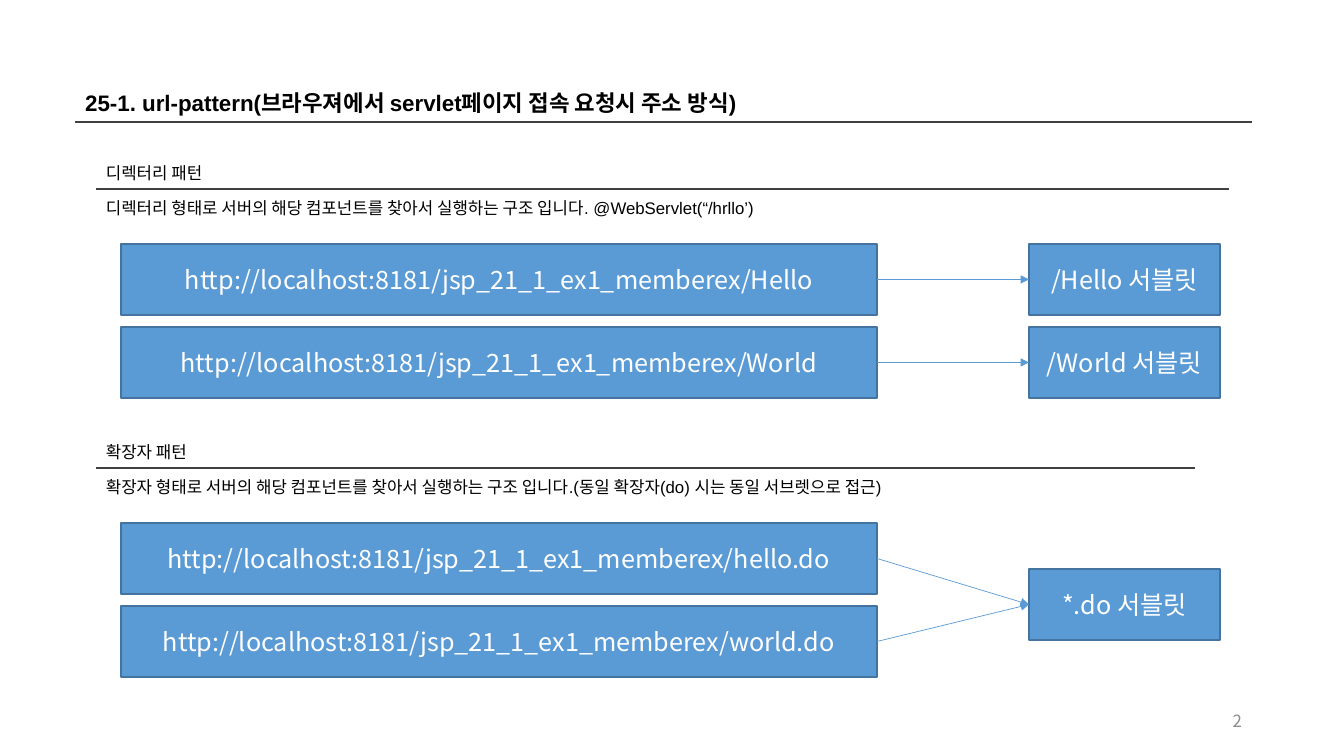
from lxml import etree
from pptx import Presentation
from pptx.dml.color import RGBColor
from pptx.enum.shapes import MSO_CONNECTOR, MSO_SHAPE
from pptx.enum.text import MSO_ANCHOR, MSO_AUTO_SIZE, PP_ALIGN
from pptx.oxml.ns import qn
from pptx.util import Emu, Pt

STRAIGHT = MSO_CONNECTOR.STRAIGHT
RECTANGLE = MSO_SHAPE.RECTANGLE
TOP, MIDDLE = MSO_ANCHOR.TOP, MSO_ANCHOR.MIDDLE
LEFT, CENTER, RIGHT = PP_ALIGN.LEFT, PP_ALIGN.CENTER, PP_ALIGN.RIGHT
NO_FIT, GROW = MSO_AUTO_SIZE.NONE, MSO_AUTO_SIZE.SHAPE_TO_FIT_TEXT
LEFT_SIDE, RIGHT_SIDE = 1, 3

PX_PER_INCH = 100.8
LATIN, KOREAN = "Arial", "Noto Sans CJK KR"
COLORS = {
    "text": "000000",
    "rule": "404040",
    "box": "5B9BD5",
    "box_line": "43739E",
    "box_text": "FFFFFF",
    "page_number": "8C8C8C",
}
URL_ROOT = "http://localhost:8181/jsp_21_1_ex1_memberex/"
TITLE_ONLY_LAYOUT = 5


def px(length):
    return Emu(round(length * 914400 / PX_PER_INCH))


def box_px(*lengths):
    return [px(length) for length in lengths]


def color(name):
    return RGBColor.from_string(COLORS[name])


def write(shape, text, size, font, color_name, align=LEFT, anchor=TOP, fit=NO_FIT, bold=False):
    frame = shape.text_frame
    frame.word_wrap = True
    frame.auto_size = fit
    frame.vertical_anchor = anchor
    paragraph = frame.paragraphs[0]
    paragraph.alignment = align
    run = paragraph.add_run()
    run.text = text
    run.font.size = Pt(size)
    run.font.bold = bold
    run.font.name = font
    run.font.color.rgb = color(color_name)
    etree.SubElement(run._r.get_or_add_rPr(), qn("a:ea"), typeface=KOREAN)


def add_line(slide, begin, end, color_name, width):
    line = slide.shapes.add_connector(STRAIGHT, *box_px(*begin, *end))
    line.line.color.rgb = color(color_name)
    line.line.width = Pt(width)
    etree.SubElement(line._element.spPr, qn("a:effectLst"))
    return line


def add_arrow(slide, source, target):
    arrow = add_line(slide, (0, 0), (0, 0), "box", 0.5)
    arrow.begin_connect(source, RIGHT_SIDE)
    arrow.end_connect(target, LEFT_SIDE)
    etree.SubElement(arrow.line._get_or_add_ln(), qn("a:tailEnd"), type="triangle")


def add_caption(slide, left, top, text):
    caption = slide.shapes.add_textbox(*box_px(left, top, 1100, 31))
    write(caption, text, 12, LATIN, "text", fit=GROW)


def add_box(slide, left, top, width, text):
    box = slide.shapes.add_shape(RECTANGLE, *box_px(left, top, width, 71))
    box.shadow.inherit = False
    box.fill.solid()
    box.fill.fore_color.rgb = color("box")
    box.line.color.rgb = color("box_line")
    box.line.width = Pt(1)
    write(box, text, 18, KOREAN, "box_text", CENTER, MIDDLE)
    return box


def add_title(slide, left, top, width, text):
    title = slide.shapes.title
    title.left, title.top, title.width, title.height = box_px(left, top, width, 37)
    write(title, text, 16, LATIN, "text", bold=True)
    add_line(slide, (left, top + 38), (left + width, top + 38), "rule", 1)


def add_pattern(slide, left, top, width, heading, description, pages, servlets):
    """Place a headed section; servlets lists (name, offset from first page box, pages)."""
    add_caption(slide, left, top, heading)
    add_line(slide, (left, top + 31), (left + width, top + 31), "rule", 1)
    add_caption(slide, left, top + 35, description)
    boxes_top = top + 86
    page_boxes = {
        page: add_box(slide, left + 25, boxes_top + 83 * row, 756, URL_ROOT + page)
        for row, page in enumerate(pages)
    }
    for name, offset, callers in servlets:
        servlet = add_box(slide, left + 933, boxes_top + offset, 191, f"{name} 서블릿")
        for page in callers:
            add_arrow(slide, page_boxes[page], servlet)


def add_page_number(slide, left, top, number):
    box = slide.shapes.add_textbox(*box_px(left, top, 302, 40))
    write(box, number, 12, KOREAN, "page_number", RIGHT, MIDDLE)


def main():
    presentation = Presentation()
    presentation.slide_width, presentation.slide_height = box_px(1344, 756)
    slide = presentation.slides.add_slide(presentation.slide_layouts[TITLE_ONLY_LAYOUT])
    add_title(slide, 75, 84, 1177, "25-1. url-pattern(브라우져에서 servlet페이지 접속 요청시 주소 방식)")
    add_pattern(
        slide, 96, 158, 1133, "디렉터리 패턴",
        "디렉터리 형태로 서버의 해당 컴포넌트를 찾아서 실행하는 구조 입니다. @WebServlet(“/hrllo’)",
        ["Hello", "World"],
        [("/Hello", 0, ["Hello"]), ("/World", 83, ["World"])],
    )
    add_pattern(
        slide, 96, 437, 1099, "확장자 패턴",
        "확장자 형태로 서버의 해당 컴포넌트를 찾아서 실행하는 구조 입니다."
        "(동일 확장자(do) 시는 동일 서브렛으로 접근)",
        ["hello.do", "world.do"],
        [("*.do", 46, ["hello.do", "world.do"])],
    )
    add_page_number(slide, 950, 701, "2")
    presentation.save("out.pptx")


if __name__ == "__main__":
    main()
